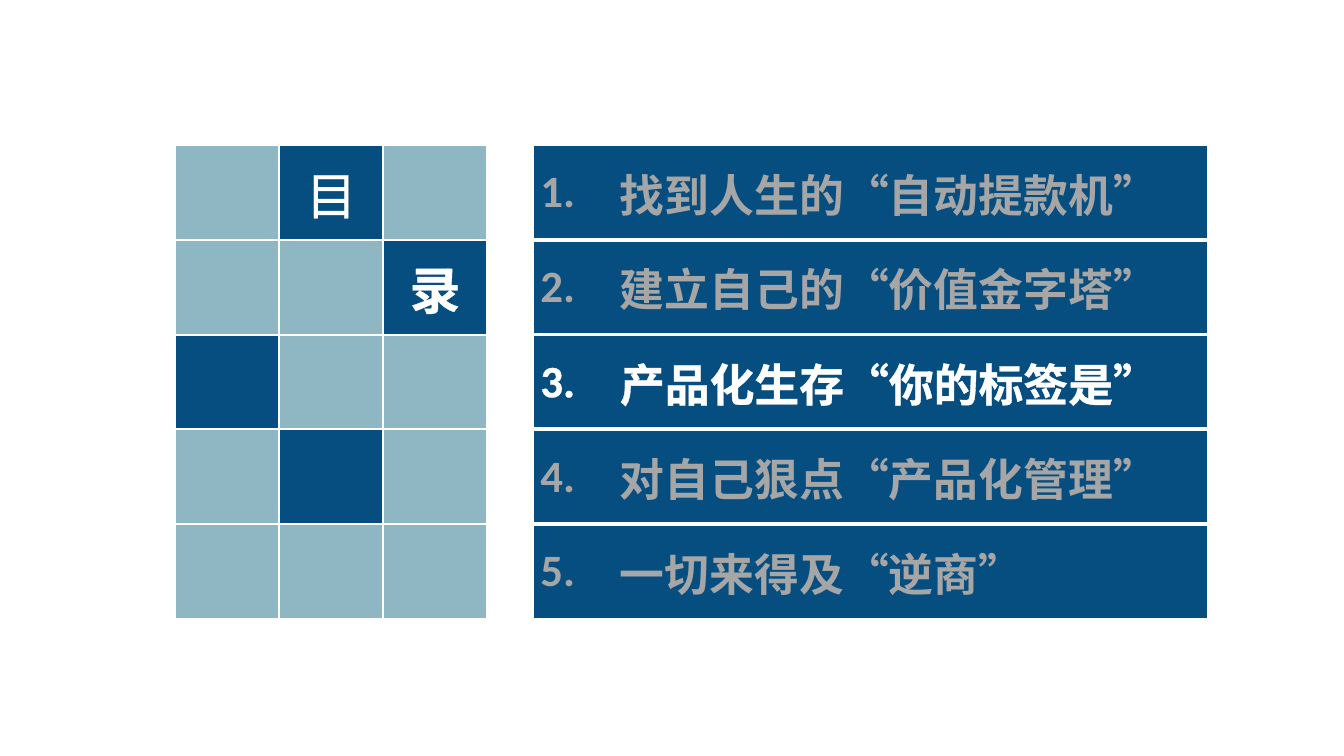
from lxml.etree import SubElement
from pptx import Presentation
from pptx.dml.color import RGBColor
from pptx.enum.lang import MSO_LANGUAGE_ID as LANG
from pptx.enum.text import MSO_ANCHOR as ANCHOR, PP_ALIGN as ALIGN
from pptx.oxml.ns import qn
from pptx.util import Inches, Pt

NAVY = RGBColor(0x06, 0x4E, 0x80)
TEAL = RGBColor(0x8F, 0xB7, 0xC3)
WHITE = RGBColor(0xFF, 0xFF, 0xFF)
GREY = RGBColor(0xA6, 0xA6, 0xA6)
CJK = "Noto Sans CJK SC"
LATIN = "Calibri"

COL_WIDTHS = [1.03, 1.03, 1.03, 0.46, 0.79, 5.9]
ROW_HEIGHT = 0.94
MOSAIC_COLS = 3
GAP_COL, NUMBER_COL, TOPIC_COL = 3, 4, 5
DARK_TILES = {(0, 1), (1, 2), (2, 0), (3, 1)}
TITLE = [((0, 1), "目", False), ((1, 2), "录", True)]
TOPICS = [
    "找到人生的“自动提款机”",
    "建立自己的“价值金字塔”",
    "产品化生存“你的标签是”",
    "对自己狠点“产品化管理”",
    "一切来得及“逆商”",
]
CURRENT = 2


def add_solid_fill(parent, color):
    """Append a solid fill of the given colour to an XML element."""
    fill = SubElement(parent, qn("a:solidFill"))
    SubElement(fill, qn("a:srgbClr"), val=str(color))


def style_cell(cell, color, widths):
    """Give a cell its white borders (None hides one), margins and fill."""
    tcPr = cell._tc.get_or_add_tcPr()
    for side in "LRTB":
        width = widths.get(side, 1.5)
        ln = SubElement(tcPr, qn(f"a:ln{side}"), w=str(Pt(width or 0)))
        if width is None:
            SubElement(ln, qn("a:noFill"))
        else:
            add_solid_fill(ln, WHITE)
    margins = {"margin_left": 0.07, "margin_right": 0.07,
               "margin_top": 0.05, "margin_bottom": 0.05}
    for name, value in margins.items():
        setattr(cell, name, Inches(value))
    cell.vertical_anchor = ANCHOR.MIDDLE
    cell.fill.solid()
    cell.fill.fore_color.rgb = color


def write_cell(cell, text, size, face, color, bold=True, align=ALIGN.LEFT):
    """Write one outlined run of text into a cell."""
    p = cell.text_frame.paragraphs[0]
    p.alignment = align
    r = p.add_run()
    r.text = text
    attrs = {"size": Pt(size), "name": face, "bold": bold,
             "language_id": LANG.SIMPLIFIED_CHINESE}
    for name, value in attrs.items():
        setattr(r.font, name, value)
    r.font.color.rgb = color
    rPr = r._r.get_or_add_rPr()
    SubElement(rPr, qn("a:ea"), typeface=face)
    ln = SubElement(rPr, qn("a:ln"), w=str(Pt(0.75)))
    add_solid_fill(ln, color)
    rPr.insert(0, ln)


def add_grid(s):
    """Add the plain table that holds the mosaic and the topics."""
    rows, cols = len(TOPICS), len(COL_WIDTHS)
    frame = s.shapes.add_table(rows, cols, Inches(1.74), Inches(1.44),
                               Inches(sum(COL_WIDTHS)), Inches(rows * ROW_HEIGHT))
    table = frame.table
    table.first_row = table.horz_banding = False
    for col, width in zip(table.columns, COL_WIDTHS):
        col.width = Inches(width)
    for row in table.rows:
        row.height = Inches(ROW_HEIGHT)
    return table


def fill_mosaic(table):
    """Colour the tiles and the gap column, and write the title."""
    for row in range(len(TOPICS)):
        for col in range(MOSAIC_COLS):
            color = NAVY if (row, col) in DARK_TILES else TEAL
            widths = {"R": 1} if (row, col) == (1, 2) else {}
            style_cell(table.cell(row, col), color, widths)
        style_cell(table.cell(row, GAP_COL), WHITE,
                   {"L": 1, "R": 1} if row == 1 else {})
    for place, text, bold in TITLE:
        write_cell(table.cell(*place), text, 36, CJK, WHITE, bold, ALIGN.CENTER)


def fill_topics(table):
    """Write the numbered topics, with the current one in white."""
    last = len(TOPICS) - 1
    for row, topic in enumerate(TOPICS):
        color = WHITE if row == CURRENT else GREY
        edges = {"T": 3 if row else 1.5, "B": 3 if row < last else 1.5}
        number, title = table.cell(row, NUMBER_COL), table.cell(row, TOPIC_COL)
        style_cell(number, NAVY, {**edges, "L": 1 if row == 1 else 1.5, "R": None})
        style_cell(title, NAVY, {**edges, "L": None})
        write_cell(number, f"{row + 1}.", 32, LATIN, color)
        write_cell(title, topic, 32, CJK, color)


def main():
    """Build the contents slide and save it."""
    prs = Presentation()
    prs.slide_width, prs.slide_height = Inches(13.33), Inches(7.5)
    s = prs.slides.add_slide(prs.slide_layouts[6])
    table = add_grid(s)
    fill_mosaic(table)
    fill_topics(table)
    prs.save("out.pptx")


if __name__ == "__main__":
    main()
